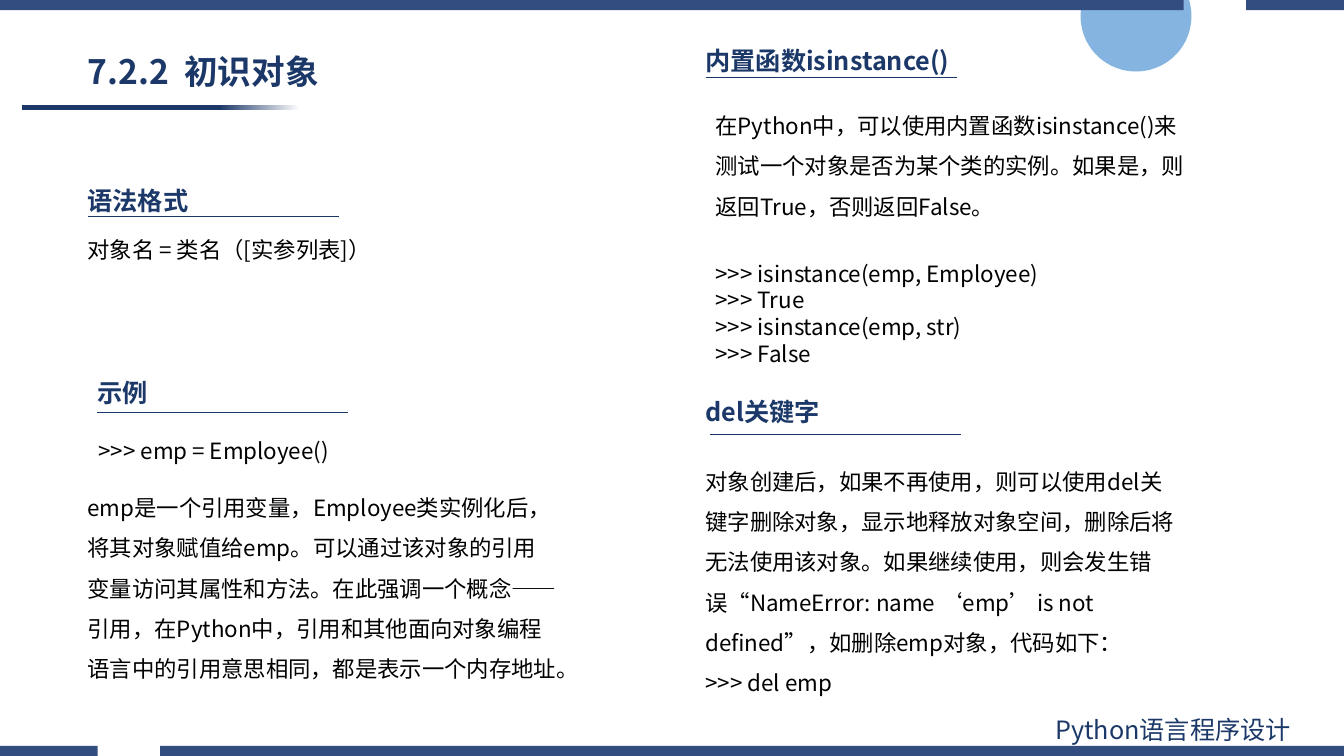
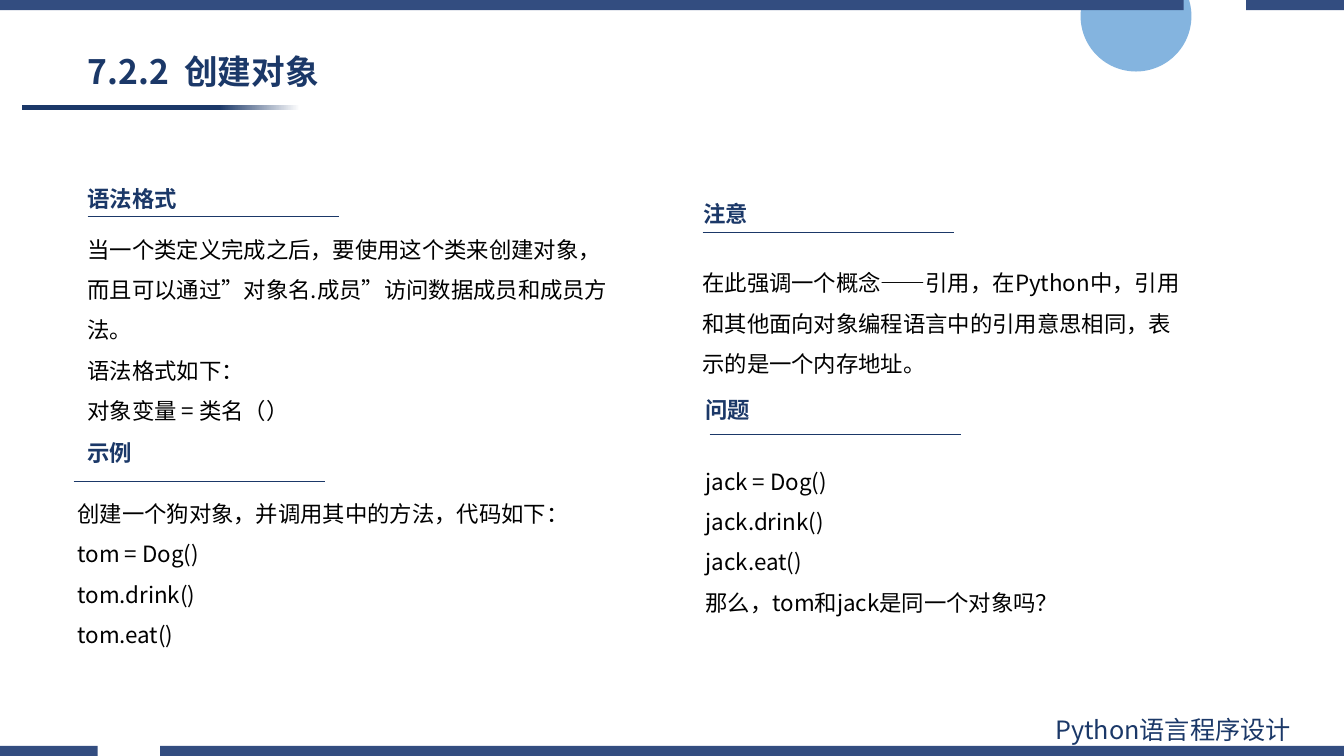
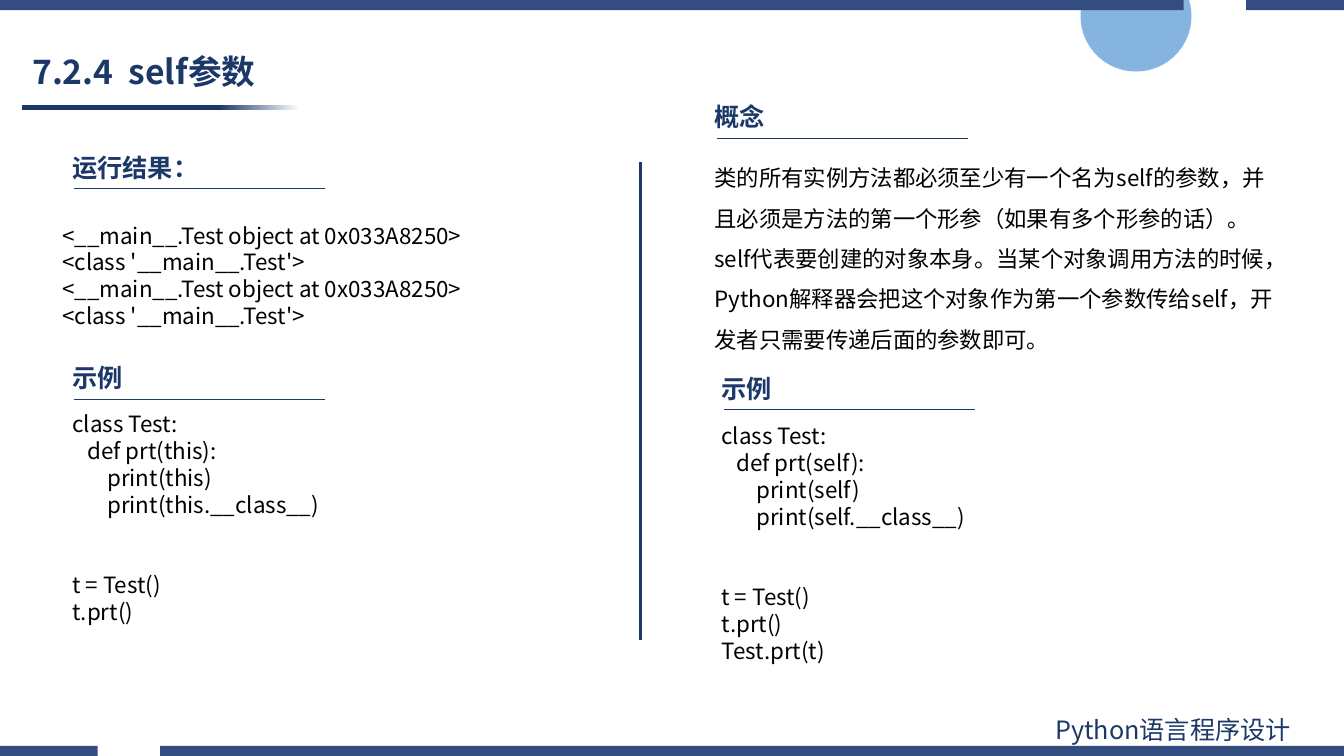
from dataclasses import dataclass

from pptx import Presentation
from pptx import util as u
from pptx.dml.color import RGBColor
from pptx.enum import shapes, text
from pptx.oxml import parse_xml
from pptx.oxml.ns import nsdecls, qn

STEP = u.Inches(0.1)
COLUMNS, ROWS = 133.33, 75


@dataclass(frozen=True)
class Theme:
    font: str = "Noto Sans CJK SC"
    navy: RGBColor = RGBColor(0x1B, 0x38, 0x68)
    band: RGBColor = RGBColor(0x33, 0x4D, 0x80)
    sky: RGBColor = RGBColor(0x5B, 0x9B, 0xD5)
    ink: RGBColor = RGBColor(0, 0, 0)
    paper: RGBColor = RGBColor(0xFF, 0xFF, 0xFF)
    title: int = 24
    heading: int = 18
    small_heading: int = 16
    body: int = 16
    footer: int = 18
    prose_spacing: float = 1.5
    hairline: float = 0.5
    divider: float = 2
    prose_gap: float = 28.7
    code_gap: float = 38.3


THEME = Theme()


@dataclass(frozen=True)
class Area:
    left: float
    top: float
    width: float
    height: float

    def emu(self) -> tuple[int, int, int, int]:
        return grid(self.left), grid(self.top), grid(self.width), grid(self.height)


@dataclass(frozen=True)
class Line:
    words: str
    spacing: float = 1.0
    before: float = 0


@dataclass(frozen=True)
class Body:
    area: Area
    lines: list[Line]


@dataclass(frozen=True)
class Section:
    heading: str
    left: float
    top: float
    rule_left: float
    rule_top: float
    bodies: list[Body]


@dataclass(frozen=True)
class Topic:
    title: str
    title_area: Area
    sections: list[Section]
    heading_size: int = THEME.heading
    divided: bool = False


def grid(steps: float) -> int:
    return round(steps * STEP)


def prose(*words: str) -> list[Line]:
    return [Line(item, THEME.prose_spacing) for item in words]


def code(*words: str, before: float = 0) -> list[Line]:
    return [Line(item, before=0 if index else before) for index, item in enumerate(words)]


def write(box, lines: list[Line], size: int, color: RGBColor, bold: bool = False) -> None:
    frame = box.text_frame
    frame.word_wrap = True
    frame.text = "\n".join(line.words for line in lines)
    for para, line in zip(frame.paragraphs, lines):
        para.alignment = text.PP_ALIGN.LEFT
        para.line_spacing = line.spacing
        para.space_before = u.Pt(line.before)
        for span in para.runs:
            span.font.name = THEME.font
            span.font.size = u.Pt(size)
            span.font.bold = bold
            span.font.color.rgb = color
    for latin in list(box.element.iter(qn("a:latin"))):
        latin.addnext(parse_xml(f'<a:ea {nsdecls("a")} typeface="{THEME.font}"/>'))


def add_text(page, area: Area, lines: list[Line], size: int, color: RGBColor, bold: bool = False):
    box = page.shapes.add_textbox(*area.emu())
    write(box, lines, size, color, bold)
    box.text_frame.auto_size = text.MSO_AUTO_SIZE.SHAPE_TO_FIT_TEXT
    return box


def add_rule(page, start: tuple[float, float], end: tuple[float, float], width: float) -> None:
    points = [grid(value) for value in (*start, *end)]
    rule = page.shapes.add_connector(shapes.MSO_CONNECTOR.STRAIGHT, *points)
    rule.line.color.rgb = THEME.navy
    rule.line.width = u.Pt(width)
    rule.element.spPr.append(parse_xml(f'<a:effectLst {nsdecls("a")}/>'))


def add_plain_shape(page, kind: shapes.MSO_SHAPE, area: Area):
    shape = page.shapes.add_shape(kind, *area.emu())
    shape.shadow.inherit = False
    shape.line.fill.background()
    return shape


def add_band(page, top: float, gap_start: float, gap_end: float):
    def corners(left: float, right: float) -> list[tuple[int, int]]:
        return [(grid(x), grid(y)) for x, y in
                ((left, top), (right, top), (right, top + 1), (left, top + 1))]

    first, second = corners(0, gap_start), corners(gap_end, COLUMNS)
    builder = page.shapes.build_freeform(*first[0])
    builder.add_line_segments(first[1:], close=True)
    builder.move_to(*second[0])
    builder.add_line_segments(second[1:], close=True)
    band = builder.convert_to_shape()
    band.shadow.inherit = False
    band.fill.solid()
    band.fill.fore_color.rgb = THEME.band
    band.line.fill.background()
    return band


def furnish_layout(layout, page) -> None:
    disc = add_plain_shape(page, shapes.MSO_SHAPE.OVAL, Area(107.2, -3.9, 11, 11))
    disc.fill.solid()
    disc.fill.fore_color.rgb = THEME.sky
    tint = next(disc.element.spPr.iter(qn("a:srgbClr")))
    tint.append(parse_xml(f'<a:alpha {nsdecls("a")} val="75000"/>'))

    title_bar = add_plain_shape(page, shapes.MSO_SHAPE.RECTANGLE, Area(2.15, 10.4, 27.6, 0.5))
    title_bar.fill.gradient()
    title_bar.fill.gradient_angle = 0
    fade = ((0.71, THEME.navy), (1, THEME.paper))
    for stop, (position, color) in zip(title_bar.fill.gradient_stops, fade):
        stop.position = position
        stop.color.rgb = color

    gap_start, gap_end = 9.7, 15.9
    bottom_band = add_band(page, ROWS - 1, gap_start, gap_end)
    top_band = add_band(page, 0, COLUMNS - gap_end, COLUMNS - gap_start)
    footer = add_text(page, Area(103.7, 70.4, 29.4, 4), code("Python语言程序设计"),
                      THEME.footer, THEME.navy)
    for shape in (disc, title_bar, bottom_band, top_band, footer):
        layout.shapes.element.append(shape.element)


def add_section(page, section: Section, heading_size: int) -> None:
    add_text(page, Area(section.left, section.top, 34, 4), code(section.heading),
             heading_size, THEME.navy, True)
    add_rule(page, (section.rule_left, section.rule_top),
             (section.rule_left + 24.95, section.rule_top), THEME.hairline)
    for body in section.bodies:
        add_text(page, body.area, body.lines, THEME.body, THEME.ink)


def fill_page(page, topic: Topic) -> None:
    title = page.shapes.title
    title.left, title.top, title.width, title.height = topic.title_area.emu()
    write(title, [Line(topic.title, 0.9)], THEME.title, THEME.navy, True)
    title.text_frame.vertical_anchor = text.MSO_ANCHOR.MIDDLE
    title.text_frame.auto_size = text.MSO_AUTO_SIZE.NONE
    if topic.divided:
        add_rule(page, (63.5, 16.1), (63.5, 63.5), THEME.divider)
    for section in topic.sections:
        add_section(page, section, topic.heading_size)


def class_listing(argument: str, *calls: str) -> list[Line]:
    definition = code("class Test:", f"   def prt({argument}):", f"       print({argument})",
                      f"       print({argument}.__class__)")
    return definition + code(*calls, before=THEME.code_gap)


TITLE_AREA = Area(7.7, 4.5, 35.7, 5.6)

TOPICS = [
    Topic("7.2.2  初识对象", TITLE_AREA, [
        Section("语法格式", 7.7, 17.9, 8.7, 21.5, [
            Body(Area(7.7, 21.6, 54.7, 4.6), prose("对象名 = 类名（[实参列表]）")),
        ]),
        Section("示例", 8.7, 36.9, 9.6, 40.9, [
            Body(Area(8.8, 42.9, 37.3, 3.7), code(">>> emp = Employee()")),
            Body(Area(7.7, 47.2, 48.6, 24.8), prose(
                "emp是一个引用变量，Employee类实例化后，将其对象赋值给emp。可以通过该对象的引用"
                "变量访问其属性和方法。在此强调一个概念——引用，在Python中，引用和其他面向对象编程"
                "语言中的引用意思相同，都是表示一个内存地址。")),
        ]),
        Section("内置函数isinstance()", 69, 4, 70, 7.7, [
            Body(Area(70, 9.3, 49.3, 27.9), prose(
                "在Python中，可以使用内置函数isinstance()来测试一个对象是否为某个类的实例。"
                "如果是，则返回True，否则返回False。") + code(
                ">>> isinstance(emp, Employee)", ">>> True",
                ">>> isinstance(emp, str)", ">>> False", before=THEME.prose_gap)),
        ]),
        Section("del关键字", 69, 38.8, 70.4, 43.1, [
            Body(Area(69, 44.6, 49.3, 24.8), prose(
                "对象创建后，如果不再使用，则可以使用del关键字删除对象，显示地释放对象空间，"
                "删除后将无法使用该对象。如果继续使用，则会发生错误"
                "“NameError: name ‘emp’ is not defined”，如删除emp对象，代码如下：",
                ">>> del emp")),
        ]),
    ]),
    Topic("7.2.2  创建对象", TITLE_AREA, [
        Section("语法格式", 7.7, 17.9, 8.7, 21.5, [
            Body(Area(7.7, 21.6, 54.7, 23.6), prose(
                "当一个类定义完成之后，要使用这个类来创建对象，而且可以通过”对象名.成员”"
                "访问数据成员和成员方法。",
                "语法格式如下：", "对象变量 = 类名（）")),
        ]),
        Section("示例", 7.7, 43.1, 7.3, 47.8, [
            Body(Area(6.7, 47.8, 51.1, 17.2), prose(
                "创建一个狗对象，并调用其中的方法，代码如下：",
                "tom = Dog()", "tom.drink()", "tom.eat()")),
        ]),
        Section("注意", 68.8, 19.4, 69.7, 23.1, [
            Body(Area(68.7, 24.9, 49.3, 12.6), prose(
                "在此强调一个概念——引用，在Python中，引用和其他面向对象编程语言中的引用意思相同，"
                "表示的是一个内存地址。")),
        ]),
        Section("问题", 69, 38.8, 70.4, 43.1, [
            Body(Area(69, 44.6, 49.3, 16.7), prose(
                "jack = Dog()", "jack.drink()", "jack.eat()",
                "那么，tom和jack是同一个对象吗？")),
        ]),
    ], heading_size=THEME.small_heading),
    Topic("7.2.4  self参数", Area(2.2, 4.5, 57.1, 5.6), [
        Section("概念", 69.9, 9.6, 71.1, 13.7, [
            Body(Area(69.9, 14.5, 57.7, 21.2), prose(
                "类的所有实例方法都必须至少有一个名为self的参数，并且必须是方法的第一个形参"
                "（如果有多个形参的话）。",
                "self代表要创建的对象本身。当某个对象调用方法的时候，Python解释器会把这个对象"
                "作为第一个参数传给self，开发者只需要传递后面的参数即可。")),
        ]),
        Section("示例", 70.6, 36.5, 71.8, 40.6, [
            Body(Area(70.6, 41.4, 57.7, 25.6),
                 class_listing("self", "t = Test()", "t.prt()", "Test.prt(t)")),
        ]),
        Section("运行结果：", 6.2, 14.6, 7.3, 18.7, [
            Body(Area(5.2, 21.5, 55.7, 11.8), code(
                *("<__main__.Test object at 0x033A8250>", "<class '__main__.Test'>") * 2)),
        ]),
        Section("示例", 6.2, 35.5, 7.3, 39.6, [
            Body(Area(6.2, 40.2, 40, 22.6), class_listing("this", "t = Test()", "t.prt()")),
        ]),
    ], divided=True),
]


def main() -> None:
    deck = Presentation()
    deck.slide_width, deck.slide_height = grid(COLUMNS), grid(ROWS)
    layout = deck.slide_layouts.get_by_name("Title Only")
    pages = [deck.slides.add_slide(layout) for _ in TOPICS]
    furnish_layout(layout, pages[0])
    for page, topic in zip(pages, TOPICS):
        fill_page(page, topic)
    deck.save("out.pptx")


if __name__ == "__main__":
    main()
